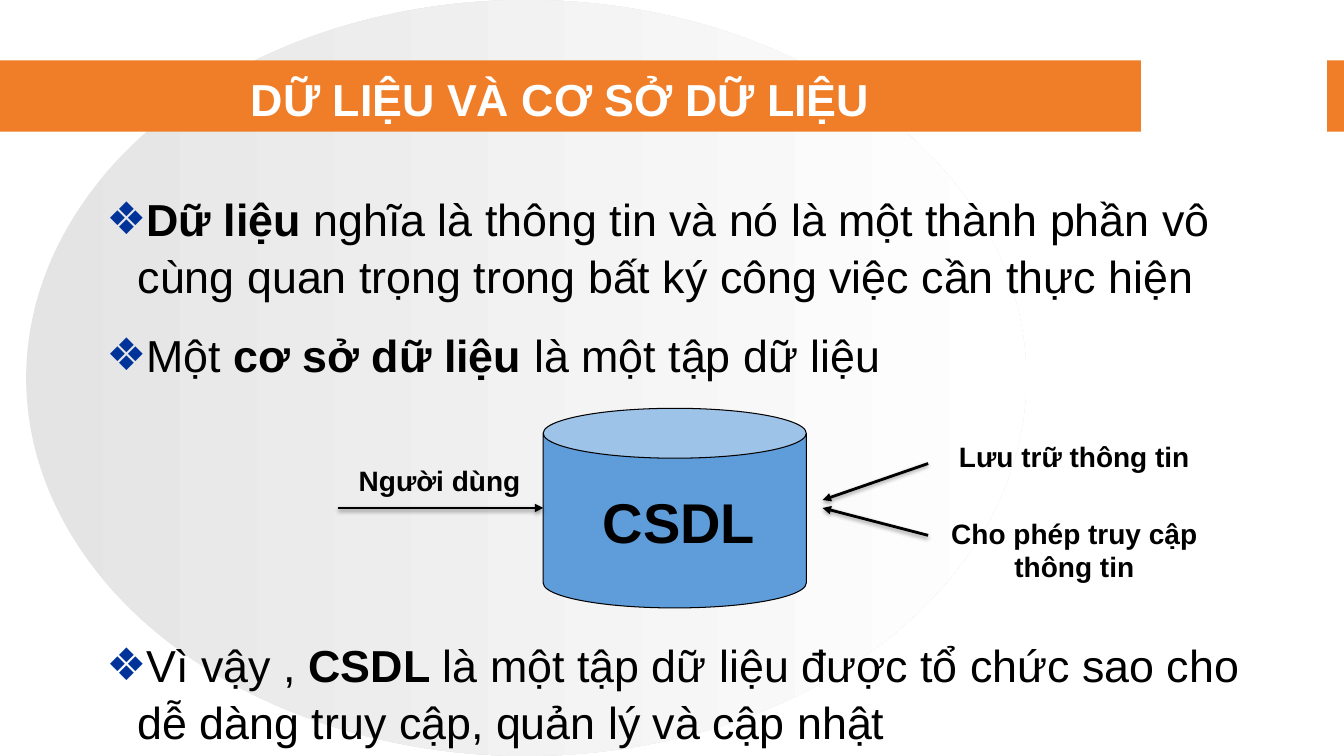
from dataclasses import dataclass

from lxml.etree import SubElement
from pptx import Presentation
from pptx.dml.color import RGBColor
from pptx.enum.shapes import MSO_CONNECTOR, MSO_SHAPE
from pptx.enum.text import MSO_ANCHOR, PP_ALIGN
from pptx.oxml.ns import qn
from pptx.util import Cm, Pt


@dataclass(frozen=True)
class Theme:
    font: str = "Arial"
    orange: str = "F07D27"
    blue: str = "5E9CDA"
    bullet: str = "003399"
    grey: str = "E4E4E4"
    white: str = "FFFFFF"
    black: str = "000000"
    text_size: int = 32
    label_size: int = 20
    store_size: int = 40


def rgb(value):
    return RGBColor.from_string(value)


class SlideBuilder:
    def __init__(self, prs, theme):
        self.theme = theme
        self.s = prs.slides.add_slide(prs.slide_layouts[5])

    def shape(self, kind, box, fill, line=None):
        sp = self.s.shapes.add_shape(kind, *map(Cm, box))
        sp.shadow.inherit = False
        sp.fill.solid()
        sp.fill.fore_color.rgb = rgb(fill)
        if line:
            sp.line.color.rgb = rgb(line)
            sp.line.width = Pt(0.75)
        else:
            sp.line.fill.background()
        return sp

    def fading_ellipse(self, box):
        sp = self.shape(MSO_SHAPE.OVAL, box, self.theme.grey)
        sp.fill.gradient()
        sp.fill.gradient_angle = 0
        for stop, colour in zip(sp.fill.gradient_stops, (self.theme.grey, self.theme.white)):
            stop.color.rgb = rgb(colour)

    def run(self, p, text, size, bold=True, colour=None):
        r = p.add_run()
        r.text = text
        r.font.name = self.theme.font
        r.font.size = Pt(size)
        r.font.bold = bold
        r.font.color.rgb = rgb(colour or self.theme.black)

    def title(self, text, box):
        sp = self.s.shapes.title
        self.s.shapes._spTree.append(sp._element)  # bring in front of the band
        sp.left, sp.top, sp.width, sp.height = map(Cm, box)
        tf = sp.text_frame
        tf.vertical_anchor = MSO_ANCHOR.MIDDLE
        p = tf.paragraphs[0]
        p.alignment = PP_ALIGN.CENTER
        self.run(p, text, self.theme.text_size, colour=self.theme.white)

    def text_box(self, box):
        tf = self.s.shapes.add_textbox(*map(Cm, box)).text_frame
        tf.word_wrap = True
        return tf

    def label(self, text, box, size, align=PP_ALIGN.LEFT):
        p = self.text_box(box).paragraphs[0]
        p.alignment = align
        self.run(p, text, size)

    def bullets(self, items, box):
        tf = self.text_box(box)
        for i, (space_before, runs) in enumerate(items):
            p = tf.add_paragraph() if i else tf.paragraphs[0]
            p.line_spacing = 1.05
            p.space_before = Pt(space_before)
            pPr = p._p.get_or_add_pPr()
            pPr.set("marL", str(Cm(1.52)))
            pPr.set("indent", str(-Cm(0.79)))
            colour = SubElement(pPr, qn("a:buClr"))
            SubElement(colour, qn("a:srgbClr"), val=self.theme.bullet)
            SubElement(pPr, qn("a:buFont"), typeface=self.theme.font)
            SubElement(pPr, qn("a:buChar"), char="❖")
            for text, bold in runs:
                self.run(p, text, self.theme.text_size, bold)

    def arrow(self, start, end):
        c = self.s.shapes.add_connector(MSO_CONNECTOR.STRAIGHT, *map(Cm, start + end))
        c.line.color.rgb = rgb(self.theme.black)
        c.line.width = Pt(2)
        SubElement(c.line._get_or_add_ln(), qn("a:tailEnd"), type="triangle")
        effects = SubElement(c._element.spPr, qn("a:effectLst"))
        shadow = SubElement(effects, qn("a:outerShdw"), blurRad=str(Pt(3.1)),
                            dist=str(Pt(1.6)), dir="5400000", rotWithShape="0")
        colour = SubElement(shadow, qn("a:srgbClr"), val=self.theme.black)
        SubElement(colour, qn("a:alpha"), val="38000")


def main():
    prs = Presentation()
    prs.slide_width, prs.slide_height = Cm(33.87), Cm(19.05)
    theme = Theme()
    b = SlideBuilder(prs, theme)

    # Background and title band
    b.fading_ellipse((0.66, 0, 25.2, 19.05))
    b.shape(MSO_SHAPE.RECTANGLE, (0, 1.52, 33.87, 1.8), theme.orange)
    b.shape(MSO_SHAPE.RECTANGLE, (28.78, 1.52, 4.65, 1.8), theme.white, theme.white)
    b.title("DỮ LIỆU VÀ CƠ SỞ DỮ LIỆU", (1.73, 1.7, 24.79, 1.57))

    # Bullets, with room for the diagram before the last one
    b.bullets([
        (16.5, [("Dữ liệu ", True),
                ("nghĩa là thông tin và nó là một thành phần vô cùng quan trọng "
                 "trong bất ký công việc cần thực hiện", False)]),
        (16.5, [("Một ", False), ("cơ sở dữ liệu ", True),
                ("là một tập dữ liệu", False)]),
        (181, [("Vì vậy , ", False), ("CSDL", True),
               (" là một tập dữ liệu được tổ chức sao cho dễ dàng truy cập, "
                "quản lý và cập nhật", False)]),
    ], (1.7, 4.65, 30.63, 12.9))

    # Database and its arrows
    b.shape(MSO_SHAPE.CAN, (13.69, 10.29, 6.63, 5.03), theme.blue, theme.black)
    for start, end in (((8.53, 12.8), (13.69, 12.8)),
                       ((23.39, 11.68), (20.73, 12.6)),
                       ((23.39, 13.49), (20.73, 12.8))):
        b.arrow(start, end)

    # Diagram labels
    b.label("Người dùng", (8.79, 11.56, 4.67, 1.12), theme.label_size)
    for text, top, height in (("Lưu trữ thông tin", 10.95, 1.12),
                              ("Cho phép truy cập thông tin", 12.88, 1.96)):
        b.label(text, (23.39, top, 7.37, height), theme.label_size, PP_ALIGN.CENTER)
    b.label("CSDL", (14.94, 12.17, 4.57, 1.96), theme.store_size)

    prs.save("out.pptx")


if __name__ == "__main__":
    main()
